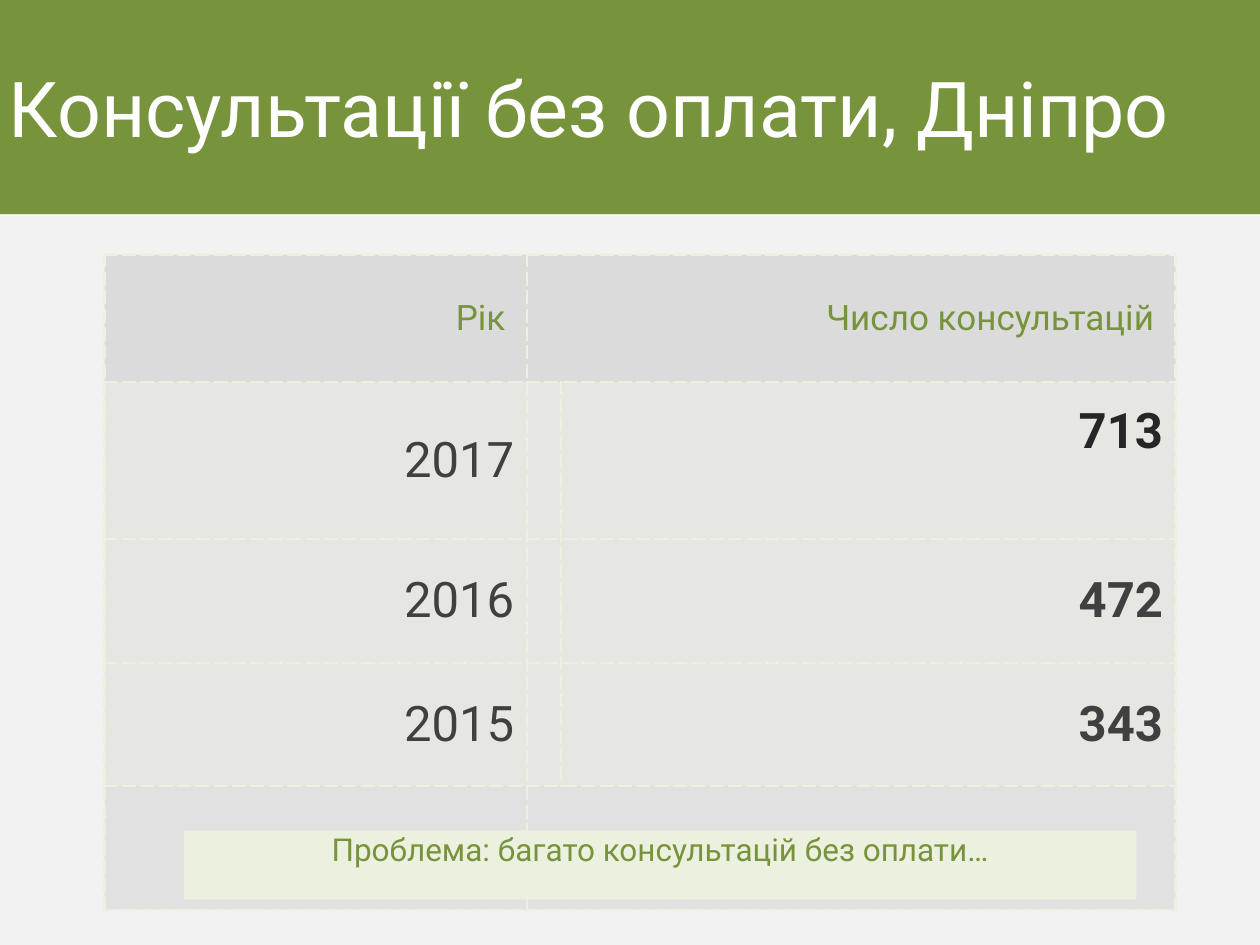
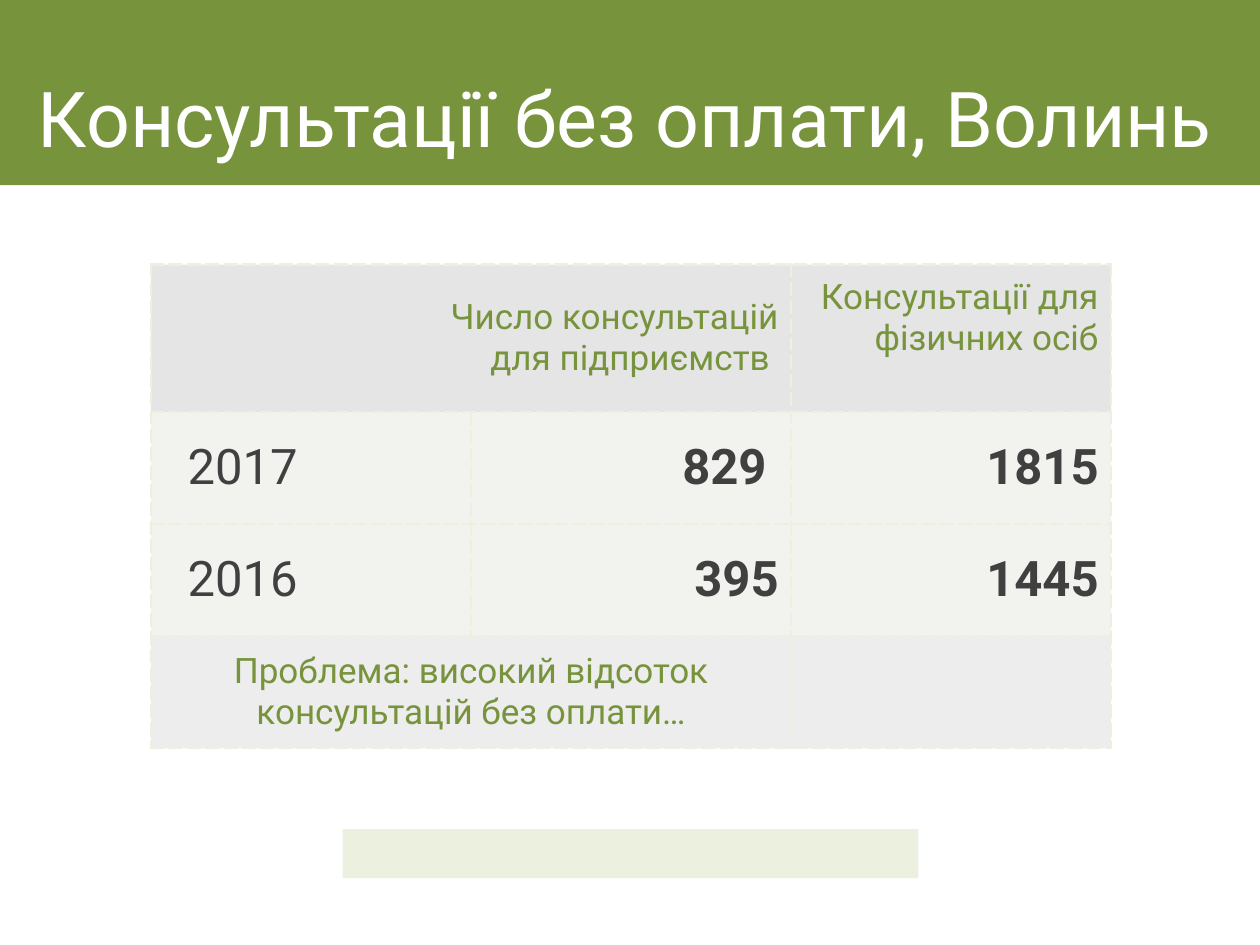
from lxml.etree import SubElement
from pptx import Presentation
from pptx.dml.color import RGBColor
from pptx.enum.shapes import MSO_SHAPE as Shape
from pptx.enum.text import MSO_ANCHOR as Anchor, MSO_AUTO_SIZE as AutoSize, PP_ALIGN as Align
from pptx.oxml import parse_xml
from pptx.oxml.ns import nsdecls, qn
from pptx.util import Inches, Pt

# Shared look
FONT = "Roboto"
GREEN = RGBColor(0x77, 0x93, 0x3C)
PALE_GREEN = RGBColor(0xEB, 0xF1, 0xDE)
DARK_GREEN = RGBColor(0x4F, 0x62, 0x28)
GREY = RGBColor(0x80, 0x80, 0x80)
DARK_GREY = RGBColor(0x40, 0x40, 0x40)
NEAR_BLACK = RGBColor(0x26, 0x26, 0x26)
INK = RGBColor(0x0D, 0x0D, 0x0D)
LIGHT_GREY = RGBColor(0xF2, 0xF2, 0xF2)
WHITE = RGBColor(0xFF, 0xFF, 0xFF)
INSET = 0.1

# Text formats
TITLE = dict(size=Pt(44), color=WHITE, bold=False)
HEADER = dict(size=Pt(20), color=GREEN, bold=False)
NOTE = dict(size=Pt(18), color=GREEN, bold=False)
YEAR = dict(size=Pt(28), color=DARK_GREY, bold=False)
COUNT = dict(YEAR, bold=True)
LATEST = dict(COUNT, color=NEAR_BLACK)

# Row fills: colour and opacity in percent
HEADER_FILL, BODY_FILL, FOOT_FILL = (GREY, 20), (DARK_GREEN, 7), (INK, 7)


def entry(text, look, align=Align.RIGHT, anchor=Anchor.MIDDLE, top=INSET, left=INSET):
    return dict(text=text, look=look, align=align, anchor=anchor, top=top, left=left)


def year(text, align):
    return entry(text, YEAR, align, left=0.29)


# Content: None marks an empty or merged cell
SLIDES = [
    dict(
        title="Консультації без оплати, Дніпро", background=LIGHT_GREY,
        band_height=1.7, title_at=(0, 0, 10, 1.7), title_anchor=Anchor.MIDDLE, title_inset=0.07,
        table_at=(0.83, 2.02), columns=[3.35, 0.27, 4.88],
        rows=[
            (1.01, HEADER_FILL, [entry("Рік ", HEADER), entry("Число консультацій ", HEADER), None]),
            (1.25, BODY_FILL, [year("2017", Align.RIGHT), None,
                               entry("713", LATEST, anchor=Anchor.TOP, top=0.17)]),
            (0.98, BODY_FILL, [year("2016", Align.RIGHT), None, entry("472", COUNT)]),
            (0.98, BODY_FILL, [year("2015", Align.RIGHT), None, entry("343", COUNT)]),
            (0.98, FOOT_FILL, [None, None, None]),
        ],
        merges=[(0, 1, 2), (4, 1, 2)],
        strip_at=(1.46, 6.59, 7.56, 0.55),
        strip_text="Проблема: багато консультацій без оплати…",
    ),
    dict(
        title="Консультації без оплати, Волинь", background=WHITE,
        band_height=1.47, title_at=(0.2, 0.29, 9.8, 1.1), title_anchor=Anchor.BOTTOM, title_inset=INSET,
        table_at=(1.2, 2.1), columns=[2.54] * 3,
        rows=[
            (1.17, HEADER_FILL, [entry("Число консультацій\nдля підприємств ", HEADER), None,
                                 entry("Консультації для фізичних осіб", HEADER, anchor=Anchor.TOP)]),
            (0.89, BODY_FILL, [year("2017", Align.LEFT), entry("829 ", COUNT), entry("1815", COUNT)]),
            (0.89, BODY_FILL, [year("2016", Align.LEFT), entry("395", COUNT), entry("1445", COUNT)]),
            (0.89, FOOT_FILL, [entry("Проблема: високий відсоток консультацій без оплати…",
                                     HEADER, Align.CENTER), None, None]),
        ],
        merges=[(0, 0, 1), (3, 0, 1)],
        strip_at=(2.72, 6.58, 4.57, 0.39),
        strip_text=None,
    ),
]


def write(frame, text, look, align):
    frame.text = text
    for para in frame.paragraphs:
        para.alignment = align
        for span in para.runs:
            span.font.name = FONT
            for name, value in look.items():
                if name == "color":
                    span.font.color.rgb = value
                else:
                    setattr(span.font, name, value)


def set_format(target, values):
    for name, value in values.items():
        setattr(target, name, value)


def add_box(page, place, color):
    box = page.shapes.add_shape(Shape.RECTANGLE, *map(Inches, place))
    box.shadow.inherit = False
    box.fill.solid()
    box.fill.fore_color.rgb = color
    box.line.fill.background()
    return box


def add_title(page, content):
    add_box(page, (0, 0, 10, content["band_height"]), GREEN)
    title = page.shapes.title
    page.shapes.element.append(title.element)  # bring in front of the band
    set_format(title, dict(zip(("left", "top", "width", "height"), map(Inches, content["title_at"]))))
    frame = title.text_frame
    set_format(frame, dict(
        auto_size=AutoSize.NONE, word_wrap=True, vertical_anchor=content["title_anchor"],
        margin_left=Inches(content["title_inset"]), margin_right=Inches(INSET),
        margin_top=Inches(INSET), margin_bottom=Inches(INSET)))
    write(frame, content["title"], TITLE, Align.LEFT)


def style_cell(cell, color, opacity):
    cell.fill.solid()
    cell.fill.fore_color.rgb = color
    properties = cell._tc.get_or_add_tcPr()
    shade = properties.find(".//" + qn("a:srgbClr"))
    SubElement(shade, qn("a:alpha")).set("val", str(opacity * 1000))
    for index, side in enumerate("LRTB"):
        properties.insert(index, parse_xml(
            f'<a:ln{side} {nsdecls("a")} w="{Pt(1.5)}"><a:solidFill><a:srgbClr val="{PALE_GREEN}"/>'
            f'</a:solidFill><a:prstDash val="sysDash"/></a:ln{side}>'))


def add_table(page, content):
    columns, rows = content["columns"], content["rows"]
    left, top = content["table_at"]
    size = sum(columns), sum(row[0] for row in rows)
    table = page.shapes.add_table(len(rows), len(columns), *map(Inches, (left, top, *size))).table
    table.first_row = table.horz_banding = False
    for column, width in zip(table.columns, columns):
        column.width = Inches(width)
    for row, (height, fill, entries) in zip(table.rows, rows):
        row.height = Inches(height)
        for cell, item in zip(row.cells, entries):
            style_cell(cell, *fill)
            if item:
                set_format(cell, dict(
                    vertical_anchor=item["anchor"], margin_left=Inches(item["left"]),
                    margin_right=Inches(INSET), margin_top=Inches(item["top"]),
                    margin_bottom=Inches(INSET)))
                write(cell.text_frame, item["text"], item["look"], item["align"])
    for row, first, last in content["merges"]:
        table.cell(row, first).merge(table.cell(row, last))


def add_strip(page, content):
    strip = add_box(page, content["strip_at"], PALE_GREEN)
    if content["strip_text"]:
        frame = strip.text_frame
        set_format(frame, dict(word_wrap=True, vertical_anchor=Anchor.TOP, margin_top=0))
        write(frame, content["strip_text"], NOTE, Align.CENTER)


def main():
    deck = Presentation()
    deck.slide_width, deck.slide_height = Inches(10), Inches(7.5)
    for content in SLIDES:
        page = deck.slides.add_slide(deck.slide_layouts[5])
        page.background.fill.solid()
        page.background.fill.fore_color.rgb = content["background"]
        add_title(page, content)
        add_table(page, content)
        add_strip(page, content)
    deck.save("out.pptx")


if __name__ == "__main__":
    main()
